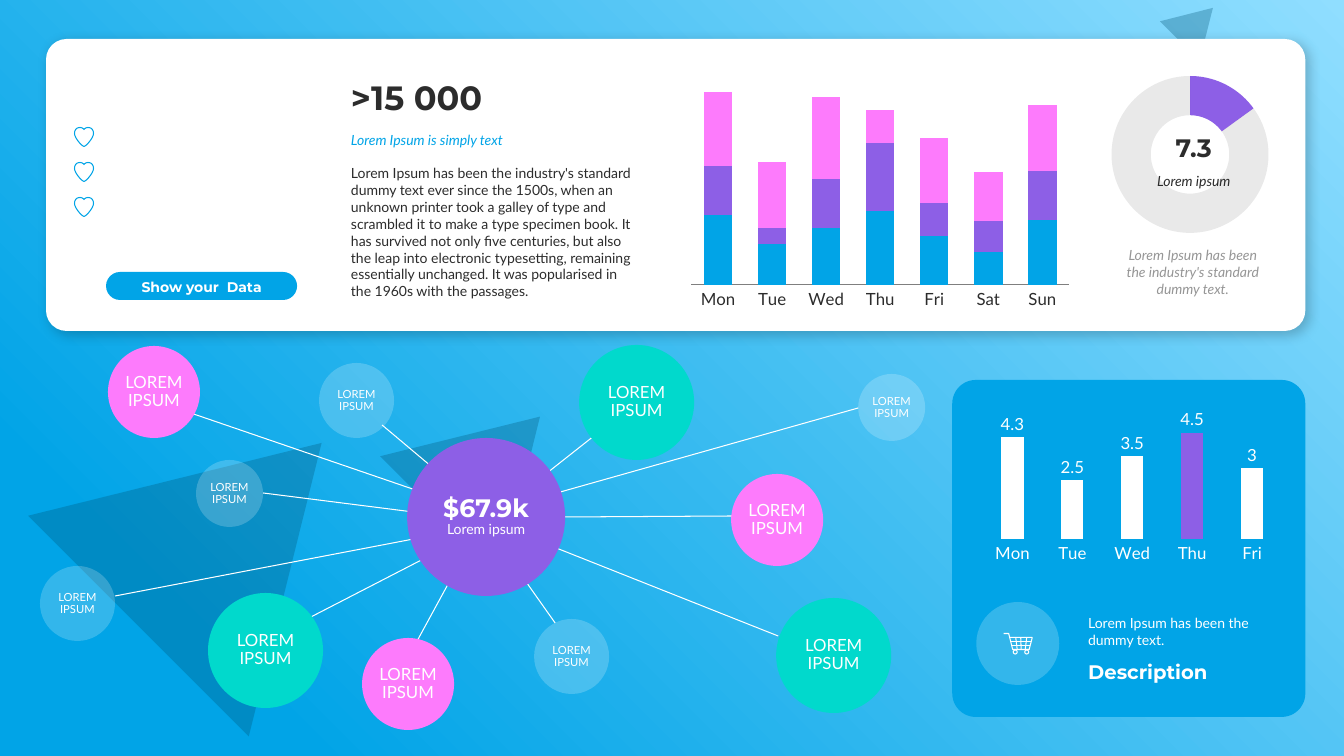
from math import cos, pi, sin

from lxml import etree
from pptx import Presentation, util as u
from pptx.chart.data import CategoryChartData
from pptx.dml.color import RGBColor
from pptx.enum import chart as ch, shapes, text
from pptx.oxml import parse_xml
from pptx.oxml.ns import nsdecls, qn

PX = 914400 / 100.8
WHITE, INK, GREY = RGBColor(255, 255, 255), RGBColor(0x2C, 0x2C, 0x2C), RGBColor(0x96, 0x96, 0x96)
BLUE, VIOLET = RGBColor(0x01, 0xA4, 0xE7), RGBColor(0x8D, 0x5F, 0xE6)
PINK, TEAL, NAVY = RGBColor(0xFD, 0x7B, 0xFC), RGBColor(0x01, 0xD9, 0xCC), RGBColor(0, 0x52, 0x74)
AXIS = RGBColor(0x7F, 0x7F, 0x7F)
MSO, AL, AN = shapes.MSO_SHAPE, text.PP_ALIGN, text.MSO_ANCHOR

# Content
TRIANGLES = [(74, 405, 312, 259), (405, 396, 170, 141), (1168, 1, 56, 47)]
BODY = ("Lorem Ipsum has been the industry's standard dummy text ever since the 1500s, when an "
        "unknown printer took a galley of type and scrambled it to make a type specimen book. "
        "It has survived not only five centuries, but also the leap into electronic typesetting, "
        "remaining essentially unchanged. It was popularised in the 1960s with the passages.")
# box, words, size, font, colour, bold, italic, align, anchor
CARD_TEXTS = [
    ((341, 127, 304, 27), "Lorem Ipsum is simply text", 10, "Lato", BLUE, False, True, AL.LEFT, AN.TOP),
    ((341, 72, 304, 50), ">15 000", 24, "Montserrat", INK, True, False, AL.LEFT, AN.BOTTOM),
    ((341, 160, 304, 146), BODY, 10, "Lato", INK, False, False, AL.LEFT, AN.TOP),
    ((114, 273, 175, 27), "Show your  Data", 10, "Montserrat", WHITE, True, False, AL.CENTER, AN.MIDDLE),
    ((1138, 168, 111, 27), "Lorem ipsum", 10, "Lato", INK, False, True, AL.CENTER, AN.TOP),
    ((1138, 128, 111, 40), "7.3", 18, "Montserrat", INK, True, False, AL.CENTER, AN.BOTTOM),
    ((1112, 242, 161, 61), "Lorem Ipsum has been the industry's standard dummy text.",
     10, "Lato", GREY, False, True, AL.CENTER, AN.TOP),
]
PANEL_TEXTS = [
    ((1078, 610, 225, 44), "Lorem Ipsum has been the dummy text.",
     10, "Lato", WHITE, False, False, AL.LEFT, AN.TOP),
    ((1078, 654, 225, 34), "Description", 14, "Montserrat", WHITE, True, False, AL.LEFT, AN.BOTTOM),
]
DAYS = ["Mon", "Tue", "Wed", "Thu", "Fri", "Sat", "Sun"]
STACKS = [("Series 1", [86, 50, 70, 90, 60, 40, 80], BLUE),
          ("Series 2", [60, 20, 60, 84, 40, 38, 60], VIOLET),
          ("Series 3", [90, 80, 100, 40, 80, 60, 80], PINK)]
WEEKDAYS = [("Series 1", [4.3, 2.5, 3.5, 4.5, 3], WHITE)]
SHARE = [("Series 1", [15, 85], VIOLET)]
# node kind: diameter, fill, opacity, text size
KINDS = {"big": (115, TEAL, 100, 12), "mid": (92, PINK, 100, 12),
         "small": (75, WHITE, 20, 8), "tiny": (67, WHITE, 20, 8)}
# kind, left, top, then the line from the node to the hub
NODES = [
    ("big", 579, 345, (595, 435, 538, 480)), ("small", 319, 363, (382, 425, 439, 473)),
    ("mid", 108, 346, (176, 408, 430, 495)), ("tiny", 196, 460, (263, 493, 421, 513)),
    ("small", 40, 566, (115, 596, 424, 537)), ("mid", 362, 638, (417, 641, 454, 573)),
    ("big", 208, 593, (303, 621, 433, 554)), ("big", 776, 598, (778, 636, 546, 544)),
    ("tiny", 858, 374, (858, 408, 546, 496)), ("mid", 731, 474, (732, 516, 565, 517)),
    ("small", 534, 619, (555, 623, 519, 572)),
]
HEART_HALF = [((0, 2.5), (1, 1.2), (2.5, .5), (4.2, .5)),
              ((4.2, .5), (7.2, .5), (9.5, 2.8), (9.5, 6.2)),
              ((9.5, 6.2), (9.5, 11.5), (1.5, 19.5), (0, 19.5))]
CART = [[(.5, .5), (5.5, .5), (9.5, 16.5), (26, 16.5), (29, 4.5), (6.5, 4.5)],
        [(7.5, 8.5), (28, 8.5)], [(8.5, 12.5), (27, 12.5)],
        [(12.5, 4.5), (14, 16.5)], [(17.5, 4.5), (18, 16.5)], [(23.5, 4.5), (22, 16.5)]]
CART += [[(x + 2 * cos(k * pi / 8), 19 + 2 * sin(k * pi / 8)) for k in range(17)] for x in (12, 23.5)]

prs = Presentation()
prs.slide_width, prs.slide_height = u.Inches(13.33), u.Inches(7.5)
s = prs.slides.add_slide(prs.slide_layouts[6])


def emu(*lengths):
    return [round(v * PX) for v in lengths]


def set_alpha(colour, percent):
    etree.SubElement(colour, qn("a:alpha")).set("val", str(percent * 1000))


def shape(kind, box, fill, alpha=100, adj=None):
    sp = s.shapes.add_shape(kind, *emu(*box))
    sp.shadow.inherit = False
    sp.line.fill.background()
    sp.fill.solid()
    sp.fill.fore_color.rgb = fill
    if alpha < 100:
        set_alpha(sp._element.spPr.find(".//" + qn("a:srgbClr")), alpha)
    if adj is not None:
        sp.adjustments[0] = adj
    return sp


def add_run(p, words, size, font, colour, bold=False, italic=False):
    r = p.add_run()
    r.text = words
    f = r.font
    f.size, f.name, f.bold, f.italic = u.Pt(size), font, bold, italic
    f.color.rgb = colour


def label(box, words, size, font, colour, bold, italic, align, anchor):
    tf = s.shapes.add_textbox(*emu(*box)).text_frame
    tf.word_wrap, tf.vertical_anchor = True, anchor
    tf.auto_size = text.MSO_AUTO_SIZE.SHAPE_TO_FIT_TEXT
    tf.paragraphs[0].alignment = align
    add_run(tf.paragraphs[0], words, size, font, colour, bold, italic)


def circle(x, y, d, fill, alpha, lines):
    tf = shape(MSO.OVAL, (x, y, d, d), fill, alpha).text_frame
    tf.word_wrap, tf.vertical_anchor = True, AN.MIDDLE
    tf.margin_left = tf.margin_right = 0
    for i, line in enumerate(lines):
        p = tf.add_paragraph() if i else tf.paragraphs[0]
        p.alignment, p.line_spacing = AL.CENTER, 0.89
        add_run(p, *line)


def outline(contours, x, y, colour):
    """Stroke contours given in px, with their origin at x, y."""
    moved = [[(round((x + a) * 10), round((y + b) * 10)) for a, b in c] for c in contours]
    fb = s.shapes.build_freeform(*moved[0][0], scale=PX / 10)
    for i, points in enumerate(moved):
        if i:
            fb.move_to(*points[0])
        fb.add_line_segments(points[1:], close=False)
    sp = fb.convert_to_shape()
    sp.shadow.inherit = False
    sp.fill.background()
    sp.line.color.rgb, sp.line.width = colour, u.Pt(0.75)


def bezier(a, b, c, d, n=8):
    for t in (k / n for k in range(n + 1)):
        yield tuple((1 - t) ** 3 * a[i] + 3 * t * (1 - t) ** 2 * b[i]
                    + 3 * t * t * (1 - t) * c[i] + t ** 3 * d[i] for i in (0, 1))


def chart(kind, box, cats, series, colour, size, layout):
    data = CategoryChartData()
    data.categories = cats
    for name, values, _ in series:
        data.add_series(name, values)
    c = s.shapes.add_chart(kind, *emu(*box), data).chart
    c.has_legend = c.has_title = False
    c.font.size, c.font.name, c.font.color.rgb = u.Pt(size), "Lato", colour
    for ser, (_, _, fill) in zip(c.plots[0].series, series):
        ser.format.fill.solid()
        ser.format.fill.fore_color.rgb = fill
    area = c._chartSpace.find(".//" + qn("c:plotArea"))
    for old in area.findall(qn("c:layout")):
        area.remove(old)
    places = "".join(f'<c:{k} val="{v}"/>' for k, v in zip("xywh", layout))
    area.insert(0, parse_xml(
        f'<c:layout {nsdecls("c")}><c:manualLayout><c:layoutTarget val="inner"/>'
        f'<c:xMode val="edge"/><c:yMode val="edge"/>{places}</c:manualLayout></c:layout>'))
    return c


def columns(kind, box, cats, series, colour, layout, top, gap):
    c = chart(kind, box, cats, series, colour, 12, layout)
    c.plots[0].gap_width, c.plots[0].vary_by_categories = gap, False
    c.value_axis.visible = c.value_axis.has_major_gridlines = False
    c.value_axis.minimum_scale, c.value_axis.maximum_scale = 0, top
    c.category_axis.major_tick_mark = ch.XL_TICK_MARK.NONE
    return c


# Background
sp = shape(MSO.RECTANGLE, (0, 0, 1344, 756), BLUE)
solid = sp._element.spPr.find(qn("a:solidFill"))
solid.getparent().replace(solid, parse_xml(
    f'<a:gradFill {nsdecls("a")}><a:gsLst><a:gs pos="0"><a:srgbClr val="90DEFF"/></a:gs>'
    f'<a:gs pos="85000"><a:srgbClr val="{BLUE}"/></a:gs></a:gsLst>'
    '<a:path path="circle"><a:fillToRect l="100000" b="100000"/></a:path></a:gradFill>'))
for box in TRIANGLES:
    shape(MSO.ISOSCELES_TRIANGLE, box, NAVY, 30).rotation = 45

# Top card
sp = shape(MSO.ROUNDED_RECTANGLE, (46, 39, 1259, 292), WHITE, adj=0.07)
shadow = etree.SubElement(sp._element.spPr.find(qn("a:effectLst")), qn("a:outerShdw"),
                          blurRad=str(u.Pt(8)), dist=str(u.Pt(3)), dir="2700000")
set_alpha(etree.SubElement(shadow, qn("a:srgbClr"), val="000000"), 20)
right = [pt for seg in HEART_HALF for pt in bezier(*seg)]
heart = right + [(-x, y) for x, y in reversed(right)]
for i in range(3):
    outline([heart], 84, 127 + 35 * i, BLUE)
shape(MSO.ROUNDED_RECTANGLE, (106, 272, 191, 28), BLUE, adj=0.5)
c = columns(ch.XL_CHART_TYPE.COLUMN_STACKED, (683, 51, 394, 263), DAYS, STACKS, INK,
            (0.02, 0.02, 0.96, 0.87), 280, 90)
c.plots[0].overlap = 100
c.category_axis.format.line.color.rgb = AXIS
c = chart(ch.XL_CHART_TYPE.DOUGHNUT, (1105, 76, 173, 157), ["1", "2"], SHARE, INK, 10,
          (0.03, 0, 0.92, 1))
c._chartSpace.find(".//" + qn("c:holeSize")).set("val", "80")
for i, fill in enumerate((VIOLET, INK)):
    fmt = c.plots[0].series[0].points[i].format
    fmt.fill.solid()
    fmt.fill.fore_color.rgb = fill
    fmt.line.fill.background()
set_alpha(c._chartSpace.findall(".//" + qn("c:dPt"))[1].find(".//" + qn("a:srgbClr")), 10)
for item in CARD_TEXTS:
    label(*item)

# Network
for *_, ends in NODES:
    line = s.shapes.add_connector(shapes.MSO_CONNECTOR.STRAIGHT, *emu(*ends))
    line.line.color.rgb, line.line.width = WHITE, u.Pt(0.75)
    etree.SubElement(line._element.spPr, qn("a:effectLst"))
for kind, x, y, _ in NODES:
    d, fill, alpha, size = KINDS[kind]
    circle(x, y, d, fill, alpha, [("LOREM IPSUM", size, "Lato", WHITE)])
circle(407, 438, 158, VIOLET, 100, [("$67.9k", 18, "Montserrat", WHITE, True),
                                    ("Lorem ipsum", 10, "Lato", WHITE)])

# Right panel
shape(MSO.ROUNDED_RECTANGLE, (952, 380, 353, 337), BLUE, adj=0.07)
shape(MSO.OVAL, (976, 602, 83, 83), WHITE, 20)
outline(CART, 1003, 633, WHITE)
for item in PANEL_TEXTS:
    label(*item)
c = columns(ch.XL_CHART_TYPE.COLUMN_CLUSTERED, (976, 409, 312, 155), DAYS[:5], WEEKDAYS, WHITE,
            (0.02, 0.07, 0.96, 0.77), 5, 171)
c.category_axis.format.line.fill.background()
plot = c.plots[0]
plot.has_data_labels = True
plot.data_labels.show_value = True
plot.data_labels.position = ch.XL_LABEL_POSITION.OUTSIDE_END
thursday = plot.series[0].points[3].format.fill
thursday.solid()
thursday.fore_color.rgb = VIOLET

prs.save("out.pptx")
